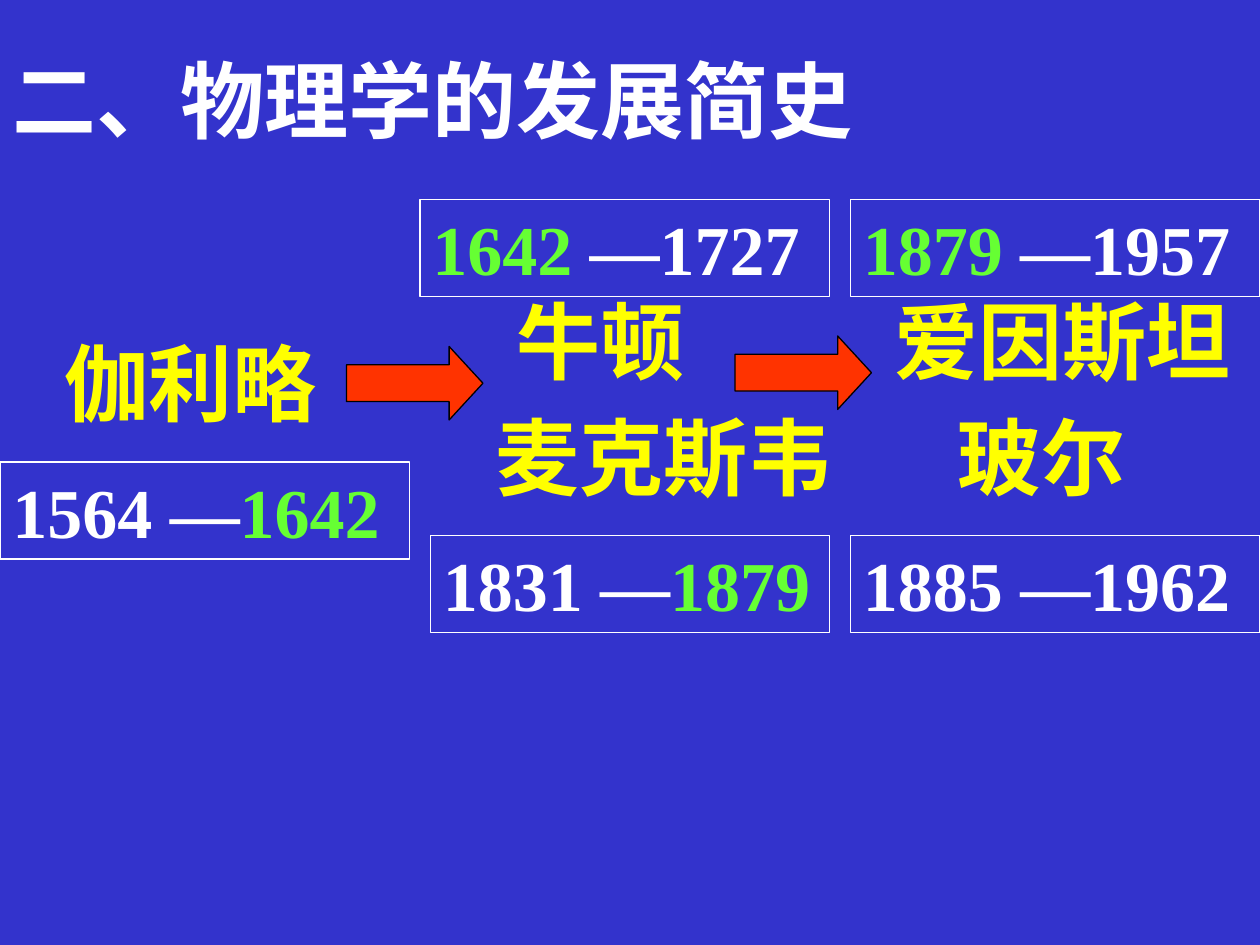
import pptx
import pptx.dml.color
import pptx.enum.shapes
import pptx.enum.text
import pptx.util

WHITE, YELLOW, GREEN = "FFFFFF", "FFFF00", "66FF33"
BLUE, RED, BLACK = "3333CC", "FF3300", "000000"
NAME_HEIGHT, DATE_HEIGHT = 10.8, 9.24

presentation = pptx.Presentation()
presentation.slide_width = pptx.util.Inches(10)
presentation.slide_height = pptx.util.Inches(7.5)
cell = presentation.slide_width / 120  # the grid has 120 columns and 90 rows


def color(hex_string):
    return pptx.dml.color.RGBColor.from_string(hex_string)


def write(shape, *runs, size=48, place=None):
    """Fill a shape with (text, colour) runs; place is column, row, width, height."""
    if place:
        shape.left, shape.top, shape.width, shape.height = [round(n * cell) for n in place]
    frame = shape.text_frame
    frame.word_wrap = True
    frame.auto_size = pptx.enum.text.MSO_AUTO_SIZE.NONE
    frame.vertical_anchor = pptx.enum.text.MSO_ANCHOR.TOP
    paragraph = frame.paragraphs[0]
    paragraph.alignment = pptx.enum.text.PP_ALIGN.LEFT
    for text, run_color in runs:
        run = paragraph.add_run()
        run.text = text
        run.font.name = "Times New Roman"
        run.font.size = pptx.util.Pt(size)
        run.font.bold = True
        run.font.color.rgb = color(run_color)


slide = presentation.slides.add_slide(presentation.slide_layouts[5])
slide.background.fill.solid()
slide.background.fill.fore_color.rgb = color(BLUE)

write(slide.shapes.title, ("二、物理学的发展简史", WHITE), place=(0, 4, 106, NAME_HEIGHT))

# name, its column, row and width, then the column, row, width and runs of the dates
physicists = [
    ("伽利略", (5, 31, 28), (0, 44, 39), [("1564 —", WHITE), ("1642", GREEN)]),
    ("牛顿", (48, 27, 23), (40, 19, 39), [("1642", GREEN), (" —1727", WHITE)]),
    ("麦克斯韦", (46, 38, 36), (41, 51, 38), [("1831 —", WHITE), ("1879", GREEN)]),
    ("爱因斯坦", (84, 27, 36), (81, 19, 39), [("1879", GREEN), (" —1957", WHITE)]),
    ("玻尔", (90, 38, 23), (81, 51, 39), [("1885 —1962", WHITE)]),
]
for name, name_place, date_place, date_runs in physicists:
    group = slide.shapes.add_group_shape()
    name_box = group.shapes.add_textbox(0, 0, 1, 1)
    write(name_box, (name, YELLOW), place=(*name_place, NAME_HEIGHT))
    date_box = group.shapes.add_shape(pptx.enum.shapes.MSO_SHAPE.RECTANGLE, 0, 0, 1, 1)
    date_box.shadow.inherit = False
    date_box.fill.background()
    date_box.line.color.rgb = color(WHITE)
    date_box.line.width = pptx.util.Pt(0.75)
    write(date_box, *date_runs, size=40, place=(*date_place, DATE_HEIGHT))

for column, row in [(33, 33), (70, 32)]:
    arrow = slide.shapes.add_shape(
        pptx.enum.shapes.MSO_SHAPE.RIGHT_ARROW,
        round(column * cell), round(row * cell), round(13 * cell), round(7 * cell))
    arrow.adjustments[1] = 0.46
    arrow.shadow.inherit = False
    arrow.fill.solid()
    arrow.fill.fore_color.rgb = color(RED)
    arrow.line.color.rgb = color(BLACK)
    arrow.line.width = pptx.util.Pt(0.75)

presentation.save("out.pptx")
